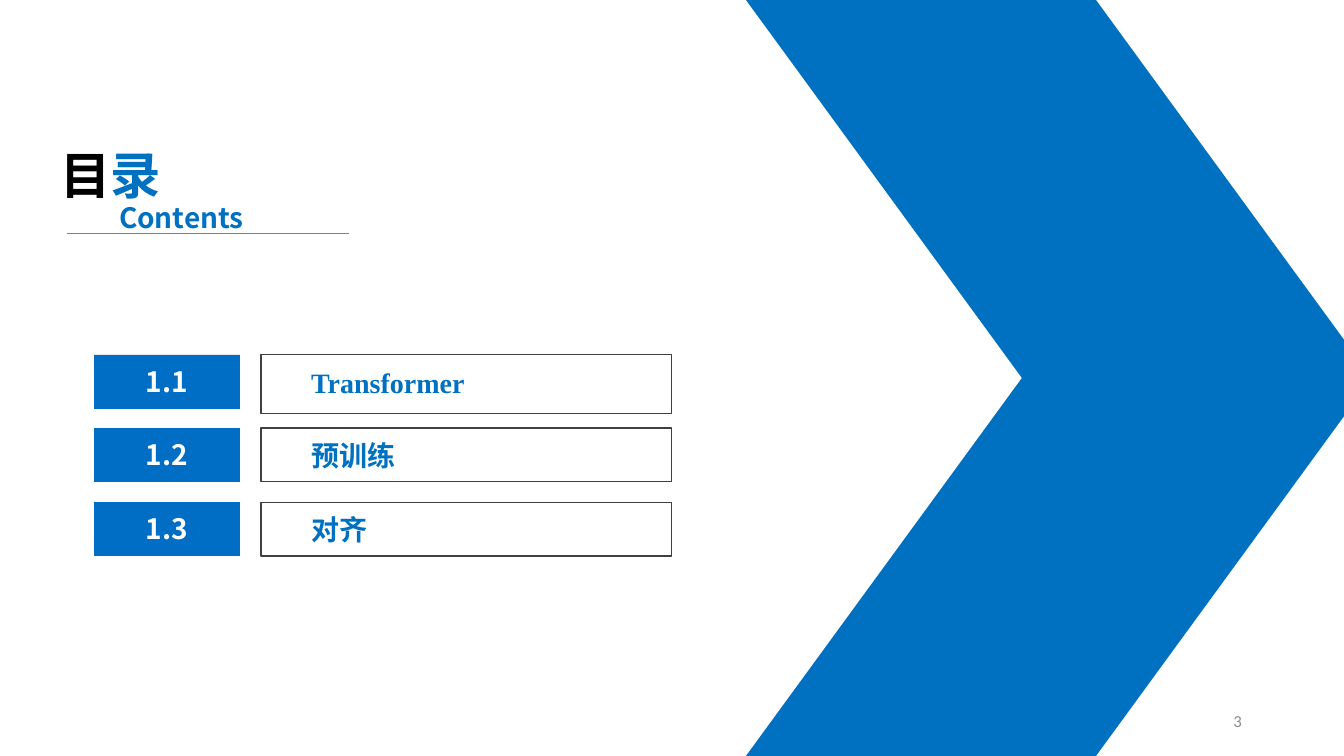
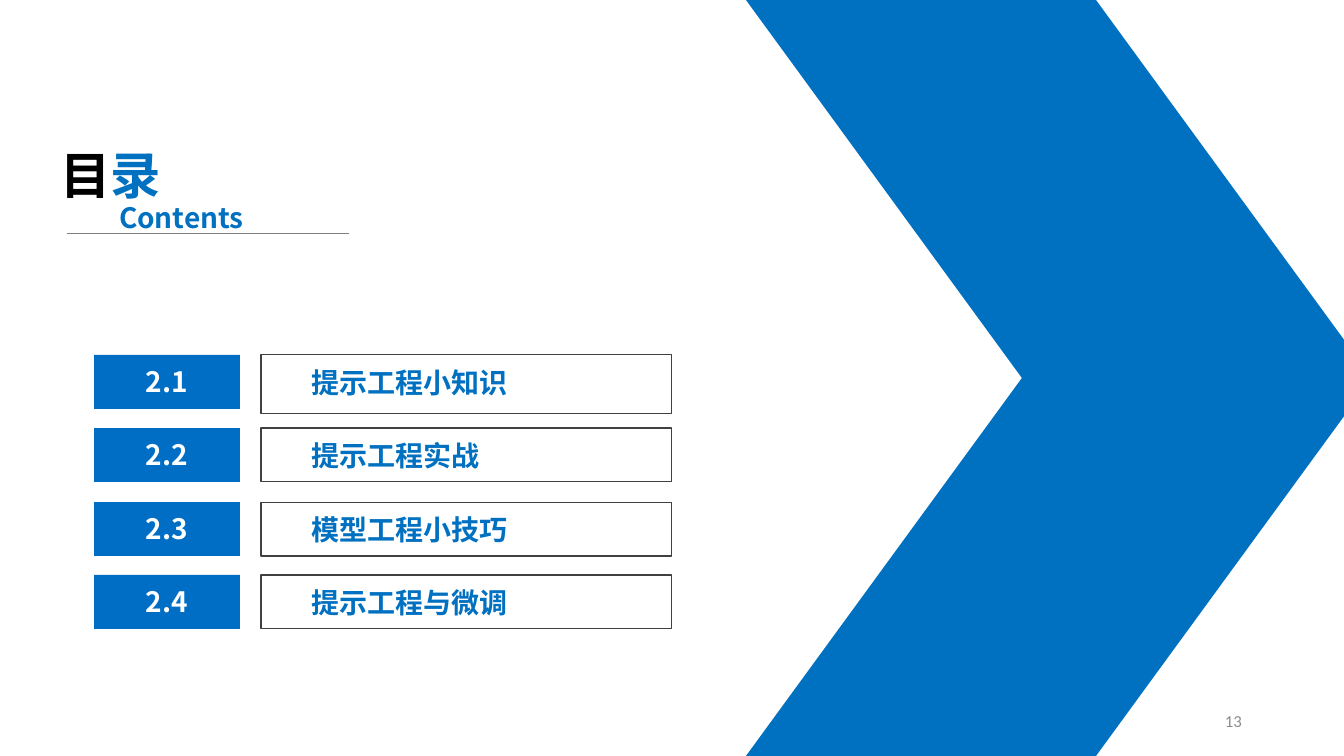
from dataclasses import dataclass

from lxml.etree import SubElement
from pptx import Presentation
from pptx.dml.color import RGBColor
from pptx.enum.shapes import MSO_CONNECTOR, MSO_SHAPE
from pptx.enum.text import MSO_ANCHOR, MSO_AUTO_SIZE, PP_ALIGN
from pptx.oxml.ns import qn
from pptx.util import Emu, Pt

EMU_PER_PX = 914400 / 100.8
PAGE_WIDTH, PAGE_HEIGHT = 1344, 756


@dataclass(frozen=True)
class Theme:
    blue: str = "0070C0"
    badge: str = "006EC5"
    black: str = "000000"
    white: str = "FFFFFF"
    outline: str = "404040"
    rule: str = "7F7F7F"
    number: str = "8C8C8C"
    cjk: str = "Noto Sans CJK SC"
    serif: str = "Times New Roman"
    sans: str = "Calibri"
    title_size: int = 36
    text_size: int = 20
    number_size: int = 12


@dataclass(frozen=True)
class Box:
    left: int
    top: int
    width: int
    height: int

    def inner(self, left, top, width, height):
        return Box(self.left + left, self.top + top, width, height)

    def emu(self):
        return [px(v) for v in (self.left, self.top, self.width, self.height)]


THEME = Theme()


def px(value):
    return Emu(round(value * EMU_PER_PX))


def color(value):
    return RGBColor.from_string(value)


# Shared building blocks
def add_panel(page, kind, box, fill=None, line=None):
    panel = page.shapes.add_shape(kind, *box.emu())
    panel.shadow.inherit = False
    if fill:
        panel.fill.solid()
        panel.fill.fore_color.rgb = color(fill)
    else:
        panel.fill.background()
    if line:
        panel.line.color.rgb = color(line)
        panel.line.width = Pt(0.75)
    else:
        panel.line.fill.background()
    return panel


def style_span(span, size, tint, font=THEME.cjk, bold=True):
    span.font.size = Pt(size)
    span.font.bold = bold
    span.font.name = font
    span.font.color.rgb = color(tint)
    east_asian = SubElement(span.font._element, qn("a:ea"))
    east_asian.set("typeface", THEME.cjk)


def set_frame(shape, align=PP_ALIGN.LEFT, anchor=MSO_ANCHOR.TOP, left=10, top=5):
    frame = shape.text_frame
    frame.word_wrap = True
    frame.auto_size = MSO_AUTO_SIZE.NONE
    frame.vertical_anchor = anchor
    frame.margin_left, frame.margin_right = px(left), px(10)
    frame.margin_top, frame.margin_bottom = px(top), px(0)
    para = frame.paragraphs[0]
    para.alignment = align
    return para


def write(shape, text, size, tint, font=THEME.cjk, bold=True, **layout):
    para = set_frame(shape, **layout)
    para.text = text
    style_span(para.runs[0], size, tint, font, bold)


# Large arrow made of two mirrored halves
def add_arrow(page, box):
    half = box.height // 2
    for top, flipped in ((half, False), (0, True)):
        part = add_panel(page, MSO_SHAPE.PARALLELOGRAM,
                         box.inner(0, top, box.width, half), THEME.blue)
        part.adjustments[0] = 0.73
        if flipped:
            part._element.spPr.xfrm.set("flipV", "1")


# Two-tone title, subtitle and rule
def add_heading(page, box):
    title = page.shapes.title
    title.left, title.top, title.width, title.height = box.inner(0, 0, 158, 72).emu()
    para = set_frame(title)
    for text, tint in (("目", THEME.black), ("录", THEME.blue)):
        span = para.add_run()
        span.text = text
        style_span(span, THEME.title_size, tint)

    subtitle = page.shapes.add_textbox(*box.inner(59, 56, 158, 44).emu())
    write(subtitle, "Contents", THEME.text_size, THEME.blue)

    rule_top = px(box.top + box.height)
    rule = page.shapes.add_connector(
        MSO_CONNECTOR.STRAIGHT, px(box.left + 17), rule_top,
        px(box.left + box.width), rule_top)
    rule.line.color.rgb = color(THEME.rule)
    rule.line.width = Pt(0.5)
    SubElement(rule._element.spPr, qn("a:effectLst"))


# One numbered entry
def add_entry(page, box, number, text):
    frame = add_panel(page, MSO_SHAPE.RECTANGLE,
                      box.inner(167, 0, box.width - 167, box.height),
                      line=THEME.outline)
    font = THEME.serif if text.isascii() else THEME.cjk
    write(frame, text, THEME.text_size, THEME.blue, font, left=50, top=10)

    badge = add_panel(page, MSO_SHAPE.RECTANGLE, box.inner(0, 0, 146, 54), THEME.badge)
    write(badge, number, THEME.text_size, THEME.white, align=PP_ALIGN.CENTER, top=9)


def add_entries(page, box, chapter, entries):
    for index, text in enumerate(entries):
        height = 54 if index else 59
        row = box.inner(0, index * 147 // 2, box.width, height)
        add_entry(page, row, f"{chapter}.{index + 1}", text)


def add_page_number(page, box, number):
    holder = page.shapes.add_textbox(*box.emu())
    write(holder, str(number), THEME.number_size, THEME.number, THEME.sans, False,
          align=PP_ALIGN.RIGHT, anchor=MSO_ANCHOR.MIDDLE, top=0)


def add_contents_page(deck, chapter, entries, number):
    page = deck.slides.add_slide(deck.slide_layouts.get_by_name("Title Only"))
    add_arrow(page, Box(746, 0, 626, PAGE_HEIGHT))
    add_heading(page, Box(50, 139, 299, 94))
    add_entries(page, Box(94, 355, 578, 275), chapter, entries)
    add_page_number(page, Box(950, 701, 302, 40), number)


def main():
    deck = Presentation()
    deck.slide_width, deck.slide_height = px(PAGE_WIDTH), px(PAGE_HEIGHT)
    add_contents_page(deck, 1, ["Transformer", "预训练", "对齐"], 3)
    add_contents_page(
        deck, 2,
        ["提示工程小知识", "提示工程实战", "模型工程小技巧", "提示工程与微调"], 13)
    deck.save("out.pptx")


if __name__ == "__main__":
    main()
